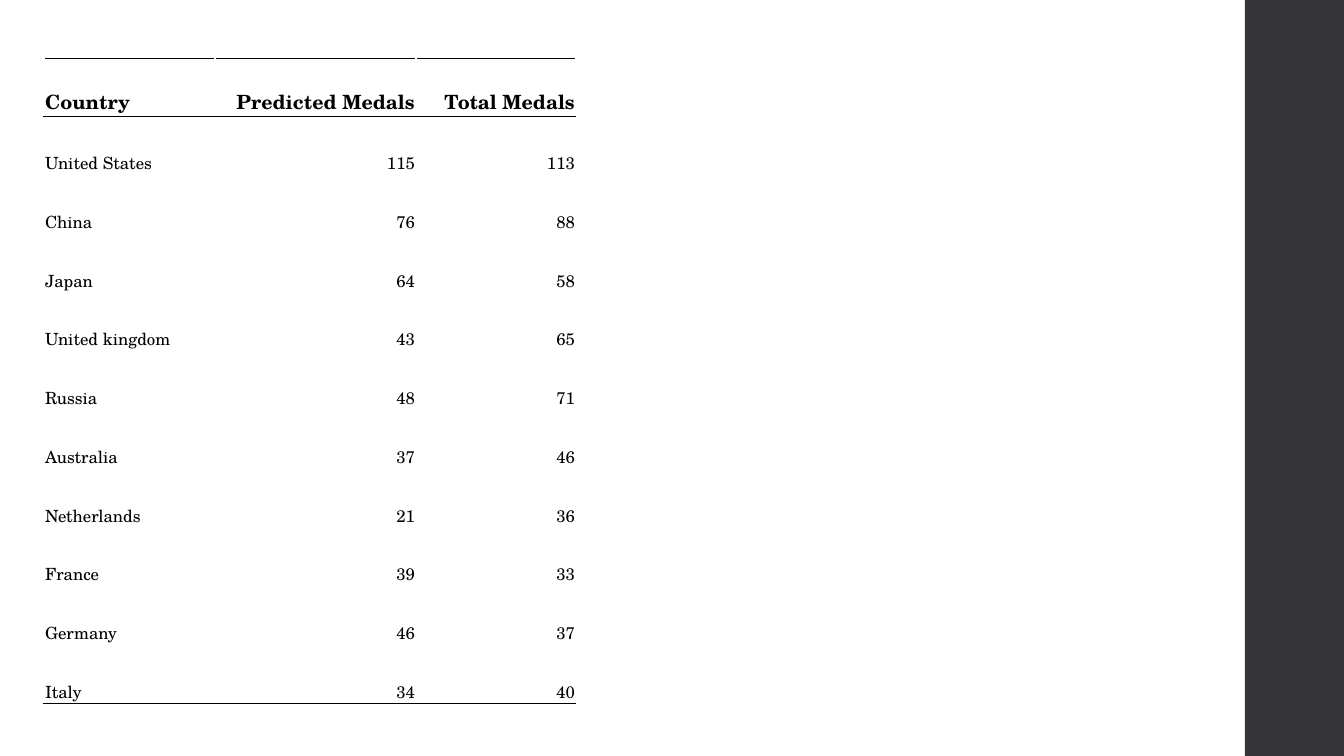
from pptx import Presentation
from pptx.dml.color import RGBColor
from pptx.enum.shapes import MSO_SHAPE as Shape
from pptx.enum.text import MSO_ANCHOR as Anchor, PP_ALIGN as Align
from pptx.oxml import parse_xml
from pptx.oxml.ns import nsdecls
from pptx.util import Emu, Pt

BLACK = RGBColor(0x00, 0x00, 0x00)
GREY = RGBColor(0x35, 0x35, 0x37)

HEAD = ("Country", "Predicted Medals", "Total Medals")
MEDALS = [
    ("United States", 115, 113),
    ("China", 76, 88),
    ("Japan", 64, 58),
    ("United kingdom", 43, 65),
    ("Russia", 48, 71),
    ("Australia", 37, 46),
    ("Netherlands", 21, 36),
    ("France", 39, 33),
    ("Germany", 46, 37),
    ("Italy", 34, 40),
]


def px(n):
    return Emu(round(n * 12192000 / 1344))


class Page:
    font = "TeX Gyre Schola"

    def __init__(self, deck):
        self.slide = deck.slides.add_slide(deck.slide_layouts[6])

    def bar(self, x, y, w, h, color):
        bar = self.slide.shapes.add_shape(
            Shape.RECTANGLE, px(x), px(y), px(w), px(h))
        bar.shadow.inherit = False
        bar.fill.solid()
        bar.fill.fore_color.rgb = color
        bar.line.fill.background()

    def rule(self, cell, side):
        cell._tc.get_or_add_tcPr().append(parse_xml(
            f'<a:ln{side} {nsdecls("a")} w="{Pt(0.5)}"><a:solidFill>'
            f'<a:srgbClr val="{BLACK}"/></a:solidFill></a:ln{side}>'))

    def cell(self, cell, text, size, bold, align, sides):
        cell.margin_left = cell.margin_right = cell.margin_top = px(1)
        cell.margin_bottom = 0
        cell.vertical_anchor = Anchor.BOTTOM
        cell.text = str(text)
        para = cell.text_frame.paragraphs[0]
        para.alignment = align
        font = para.font
        font.name, font.size, font.bold = self.font, Pt(size), bold
        font.color.rgb = BLACK
        for side in sides:
            self.rule(cell, side)
        cell.fill.background()

    def table(self, x, y, widths, h, rows):
        last = len(rows) - 1
        table = self.slide.shapes.add_table(
            len(rows), len(widths), px(x), px(y), px(sum(widths)), px(h)).table
        table.first_row = table.horz_banding = False
        for col, w in zip(table.columns, widths):
            col.width = px(w)
        # Rules above and below the header, and below the last row
        edges = {0: "TB", 1: "T", last: "B"}
        for r, row in enumerate(rows):
            table.rows[r].height = px(h / len(rows))
            for c, text in enumerate(row):
                self.cell(table.cell(r, c), text, 12 if r else 14, r == 0,
                          Align.RIGHT if c else Align.LEFT, edges.get(r, ""))


def main():
    deck = Presentation()
    deck.slide_width, deck.slide_height = px(1344), px(756)
    page = Page(deck)

    # Side band
    page.bar(1245, 0, 100, 756, GREY)

    # Medal table
    page.table(44, 58, (171, 201, 160), 646, [HEAD, *MEDALS])

    deck.save("out.pptx")


if __name__ == "__main__":
    main()
